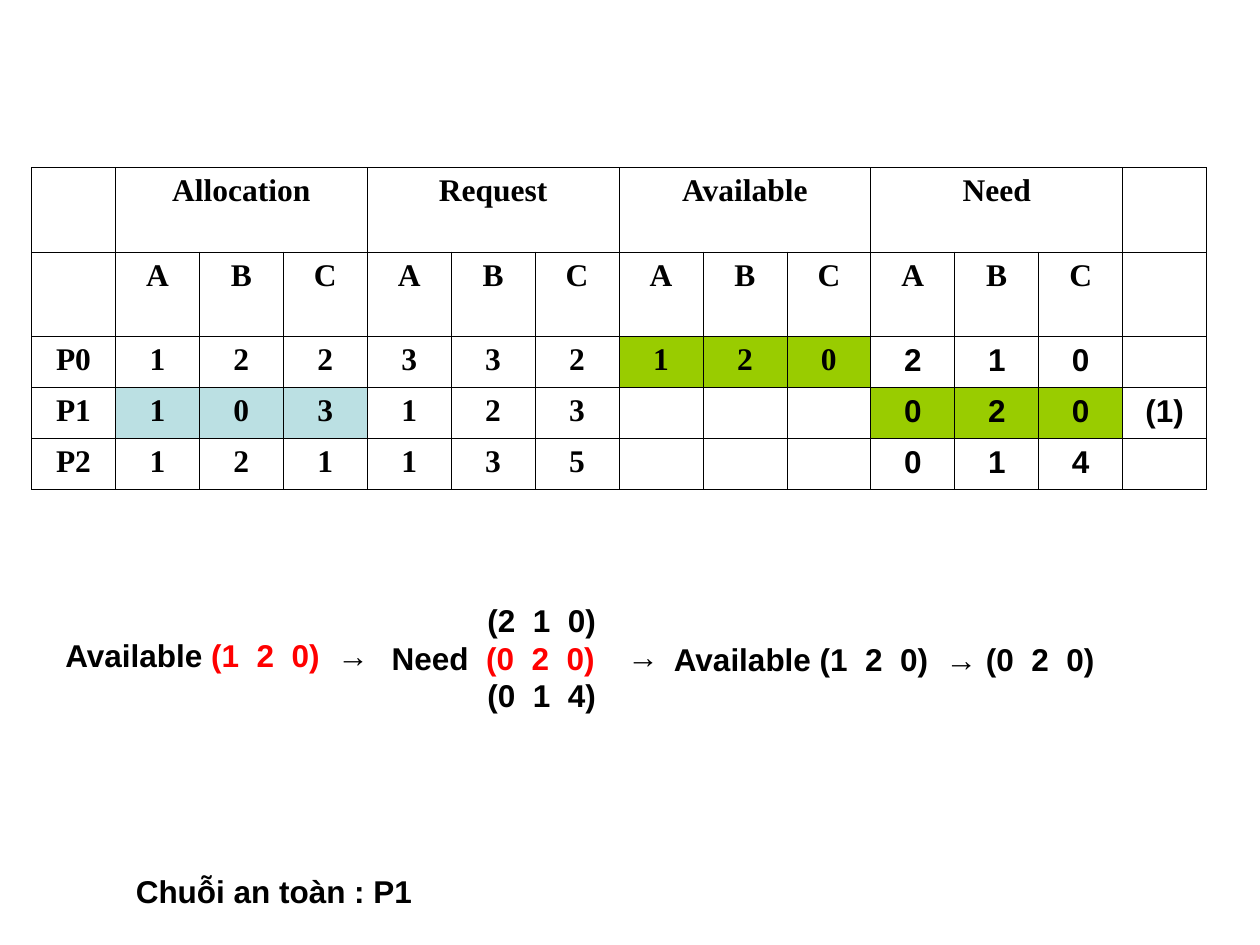
"""Build the slide with the resource allocation table and the safe sequence check."""
from lxml.etree import SubElement
from pptx import Presentation
from pptx.dml.color import RGBColor
from pptx.enum.text import MSO_AUTO_SIZE as AutoSize, PP_ALIGN as Align
from pptx.oxml.ns import qn
from pptx.util import Inches, Pt

BLACK, RED, GREEN, TEAL = "000000", "FF0000", "99CC00", "BBE0E3"
SERIF, SANS = "Times New Roman", "Arial"

GROUPS = ["Allocation", "Request", "Available", "Need"]
RESOURCES = ["A", "B", "C"]
PROCESSES = [
    ("P0", "122", "332", "120", "210", ""),
    ("P1", "103", "123", "   ", "020", "(1)"),
    ("P2", "121", "135", "   ", "014", ""),
]
HIGHLIGHTS = {("P0", "Available"): GREEN, ("P1", "Allocation"): TEAL, ("P1", "Need"): GREEN}
TABLE_BOX = (0.25, 1.33, 9.33, 2.54)
ROW_HEIGHTS = [0.67, 0.67, 0.4, 0.4, 0.4]
FIRST_NEED_COLUMN = 10

VECTOR_INDENT = 0.76
NOTES = [
    ((0.42, 5, 2.62, 0.4),
     [(0, [("Available ", BLACK), ("(1  2  0)  ", RED), ("→", BLACK)])]),
    ((3.01, 4.72, 1.82, 1),
     [(VECTOR_INDENT, [("(2  1  0)", BLACK)]),
      (0, [("Need  ", BLACK), ("(0  2  0)", RED)]),
      (VECTOR_INDENT, [("(0  1  4)", BLACK)])]),
    ((4.88, 5.01, 0.45, 0.4), [(0, [("→", BLACK)])]),
    ((5.25, 5.03, 3.55, 0.4), [(0, [("Available (1  2  0)  → (0  2  0)", BLACK)])]),
    ((0.98, 6.87, 2.46, 0.4), [(0, [("Chuỗi an toàn : P1", BLACK)])]),
]


def color(value):
    return RGBColor.from_string(value)


def write(para, text, font=SANS, size=18, ink=BLACK, bold=True):
    span = para.add_run()
    span.text = text
    span.font.name, span.font.size, span.font.bold = font, Pt(size), bold
    span.font.color.rgb = color(ink)


def outline(cell, ink=BLACK, width=0.45):
    properties = cell._tc.get_or_add_tcPr()
    for side in ("a:lnL", "a:lnR", "a:lnT", "a:lnB"):
        line = SubElement(properties, qn(side), w=str(Pt(width)))
        SubElement(SubElement(line, qn("a:solidFill")), qn("a:srgbClr"), val=ink)


def add_allocation_table(page):
    header = [""] + [text for group in GROUPS for text in (group, "", "")] + [""]
    rows = [header, ["", *RESOURCES * len(GROUPS), ""]]
    rows += [[name, *"".join(values), mark] for name, *values, mark in PROCESSES]
    columns = len(header)
    frame = page.shapes.add_table(len(rows), columns, *map(Inches, TABLE_BOX))
    table = frame.table
    table.first_row = table.horz_banding = False
    for column in table.columns:
        column.width = Inches(TABLE_BOX[2] / columns)
    for row, height in zip(table.rows, ROW_HEIGHTS):
        row.height = Inches(height)
    for r, texts in enumerate(rows):
        for c, text in enumerate(texts):
            cell = table.cell(r, c)
            outline(cell)
            group = GROUPS[(c - 1) // 3] if 0 < c < columns - 1 else None
            shade = HIGHLIGHTS.get((texts[0], group))
            if shade:
                cell.fill.solid()
                cell.fill.fore_color.rgb = color(shade)
            else:
                cell.fill.background()
            para = cell.text_frame.paragraphs[0]
            para.alignment = Align.CENTER
            if text.strip():
                sans = r > 1 and c >= FIRST_NEED_COLUMN
                write(para, text, font=SANS if sans else SERIF)
    for first in range(1, columns - 1, len(RESOURCES)):
        table.cell(0, first).merge(table.cell(0, first + len(RESOURCES) - 1))


def add_note(page, place, lines):
    frame = page.shapes.add_textbox(*map(Inches, place)).text_frame
    frame.word_wrap = False
    frame.auto_size = AutoSize.SHAPE_TO_FIT_TEXT
    for number, (indent, spans) in enumerate(lines):
        para = frame.add_paragraph() if number else frame.paragraphs[0]
        if indent:
            para._p.get_or_add_pPr().set("marL", str(Inches(indent)))
        for text, ink in spans:
            write(para, text, ink=ink)


def main():
    deck = Presentation()
    deck.slide_width, deck.slide_height = Inches(10), Inches(7.5)
    page = deck.slides.add_slide(deck.slide_layouts[6])
    add_allocation_table(page)
    for place, lines in NOTES:
        add_note(page, place, lines)
    deck.save("out.pptx")


if __name__ == "__main__":
    main()
